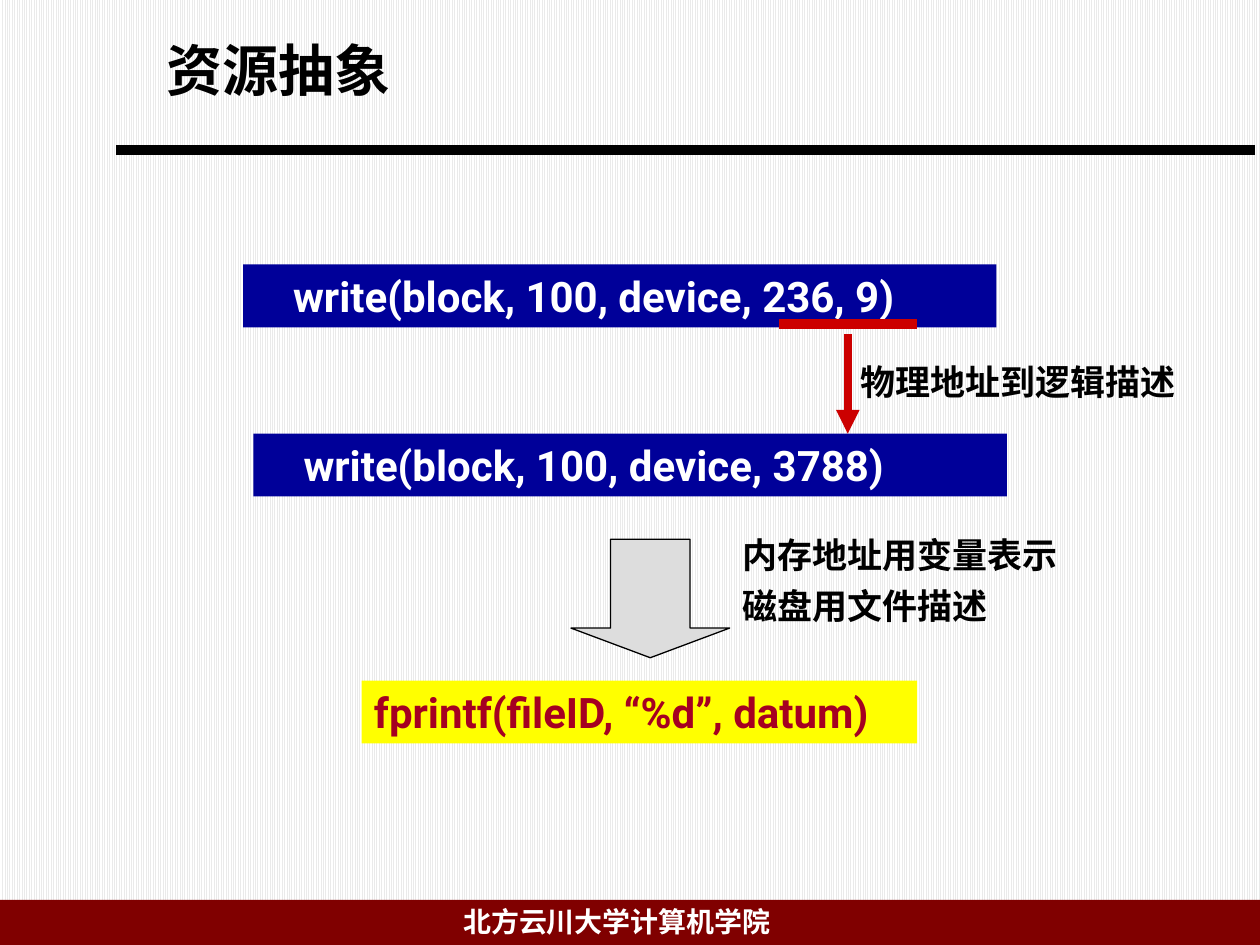
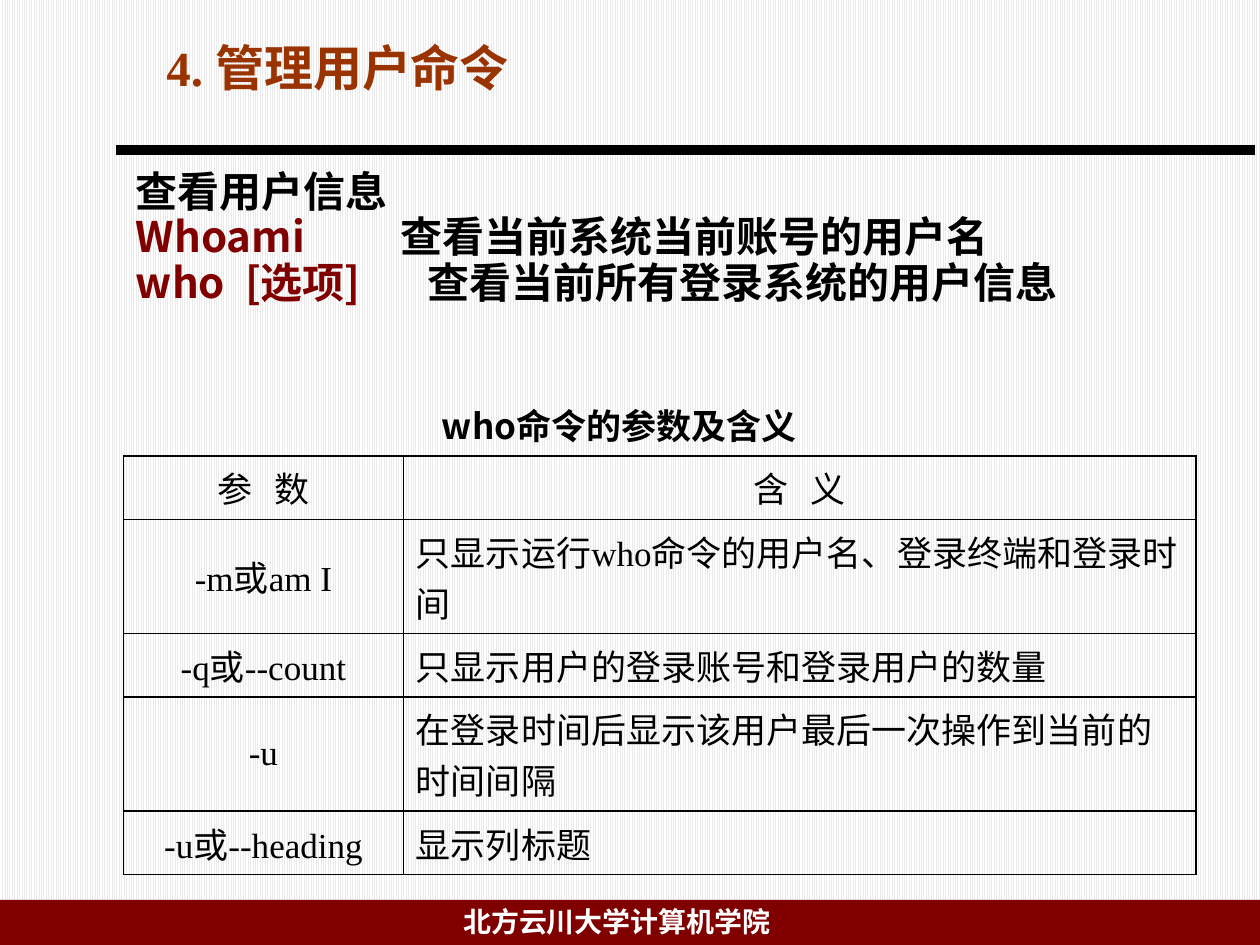
"""Build two lecture slides on resource abstraction and user commands."""
from dataclasses import dataclass

from lxml.etree import SubElement
from pptx import Presentation
from pptx.dml.color import RGBColor
from pptx.enum.dml import MSO_PATTERN
from pptx.enum.shapes import MSO_CONNECTOR, MSO_SHAPE
from pptx.enum.text import MSO_ANCHOR, PP_ALIGN
from pptx.oxml.ns import qn
from pptx.util import Cm, Pt


@dataclass(frozen=True)
class Theme:
    black: str = "000000"
    white: str = "FFFFFF"
    stripe: str = "EAEAEA"
    maroon: str = "800000"
    rust: str = "993300"
    navy: str = "000099"
    yellow: str = "FFFF00"
    crimson: str = "A50021"
    red: str = "CC0000"
    grey: str = "DDDDDD"
    serif: str = "Times New Roman"
    code: str = "Roboto"
    cjk: str = "Noto Sans CJK SC"
    caption_font: str = "Noto Sans CJK KR"
    title: int = 32
    subtitle: int = 28
    body: int = 24
    label: int = 20
    footer: int = 16


THEME = Theme()


def rgb(value):
    return RGBColor.from_string(value)


def add_text(p, text, *, size=THEME.label, color=THEME.black, font=THEME.serif,
             bold=True, spacing=0):
    r = p.add_run()
    r.text = text
    r.font.size = Pt(size)
    r.font.bold = bold
    r.font.color.rgb = rgb(color)
    r.font.name = font
    rPr = r.font._element
    SubElement(rPr, qn("a:ea")).set("typeface", THEME.cjk)
    if spacing:
        rPr.set("spc", str(spacing * 100))
    return r


def set_tabs(p, stops):
    tabs = SubElement(p._p.get_or_add_pPr(), qn("a:tabLst"))
    for stop in stops:
        tab = SubElement(tabs, qn("a:tab"))
        tab.set("pos", str(Cm(stop)))
        tab.set("algn", "l")


class Deck:
    def __init__(self, theme):
        self.theme = theme
        self.prs = Presentation()
        self.prs.slide_width, self.prs.slide_height = Cm(25.4), Cm(19.05)
        fill = self.prs.slide_master.background.fill
        fill.patterned()
        fill.pattern = MSO_PATTERN.LIGHT_VERTICAL
        fill.fore_color.rgb = rgb(theme.stripe)
        fill.back_color.rgb = rgb(theme.white)
        self.s = None

    def slide(self, title, box, **fmt):
        t = self.theme
        self.s = self.prs.slides.add_slide(self.prs.slide_layouts[5])
        self.shape((0, 18.14, 25.4, 0.91), t.maroon)
        self.line((2.34, 3.02), (25.3, 3.02), t.black, 6)
        self.text((9.09, 18.11, 8.43, 0.94), ["北方云川大学计算机学院"],
                  size=t.footer, color=t.white)
        sp = self.s.shapes.title
        sp.left, sp.top, sp.width, sp.height = map(Cm, box)
        tf = sp.text_frame
        tf.vertical_anchor = MSO_ANCHOR.TOP
        tf.margin_top = 0
        p = tf.paragraphs[0]
        p.alignment = PP_ALIGN.LEFT
        add_text(p, title, **fmt)

    def shape(self, box, fill, kind=MSO_SHAPE.RECTANGLE, outline=None):
        sp = self.s.shapes.add_shape(kind, *map(Cm, box))
        sp.shadow.inherit = False
        sp.fill.solid()
        sp.fill.fore_color.rgb = rgb(fill)
        if outline:
            sp.line.color.rgb = rgb(outline)
            sp.line.width = Pt(0.75)
        else:
            sp.line.fill.background()
        return sp

    def code(self, box, text, fill, color, indent=0):
        tf = self.shape(box, fill).text_frame
        tf.vertical_anchor = MSO_ANCHOR.MIDDLE
        p = tf.paragraphs[0]
        p.alignment = PP_ALIGN.LEFT
        p._p.get_or_add_pPr().set("indent", str(Cm(indent)))
        add_text(p, text, size=self.theme.body, color=color, font=self.theme.code)

    def text(self, box, lines, **fmt):
        tf = self.s.shapes.add_textbox(*map(Cm, box)).text_frame
        tf.word_wrap = True
        tf.vertical_anchor = MSO_ANCHOR.MIDDLE
        for i, line in enumerate(lines):
            p = tf.add_paragraph() if i else tf.paragraphs[0]
            p.space_before = Pt(5 if i else 0)
            add_text(p, line, **fmt)

    def commands(self, box, rows):
        t = self.theme
        tf = self.s.shapes.add_textbox(*map(Cm, box)).text_frame
        tf.word_wrap = True
        for i, (command, meaning, stops) in enumerate(rows):
            p = tf.add_paragraph() if i else tf.paragraphs[0]
            p.line_spacing = 0.9
            if command:
                set_tabs(p, stops)
                add_text(p, command + "\t", size=t.body, color=t.maroon, font=t.cjk)
            add_text(p, meaning, size=t.body, font=t.cjk)

    def line(self, start, end, color, width, arrow=False):
        c = self.s.shapes.add_connector(MSO_CONNECTOR.STRAIGHT, *map(Cm, start + end))
        c.line.color.rgb = rgb(color)
        c.line.width = Pt(width)
        spPr = c.element.spPr
        if arrow:
            SubElement(spPr.find(qn("a:ln")), qn("a:tailEnd")).set("type", "triangle")
        SubElement(spPr, qn("a:effectLst"))

    def border(self, cell):
        tcPr = cell._tc.get_or_add_tcPr()
        for side in ("lnL", "lnR", "lnT", "lnB"):
            ln = SubElement(tcPr, qn(f"a:{side}"))
            ln.set("w", str(Pt(1)))
            fill = SubElement(ln, qn("a:solidFill"))
            SubElement(fill, qn("a:srgbClr")).set("val", self.theme.black)

    def table(self, left, top, widths, heights, rows):
        box = (left, top, sum(widths), sum(heights))
        tbl = self.s.shapes.add_table(len(rows), len(widths), *map(Cm, box)).table
        tbl.first_row = tbl.horz_banding = False
        for col, width in zip(tbl.columns, widths):
            col.width = Cm(width)
        for i, (row, height) in enumerate(zip(rows, heights)):
            tbl.rows[i].height = Cm(height)
            for j, value in enumerate(row):
                cell = tbl.cell(i, j)
                self.border(cell)
                cell.fill.background()
                cell.vertical_anchor = MSO_ANCHOR.MIDDLE
                p = cell.text_frame.paragraphs[0]
                p.alignment = PP_ALIGN.LEFT if i and j else PP_ALIGN.CENTER
                add_text(p, value, bold=False, spacing=0 if i else 4)


def resource_abstraction(deck):
    t = deck.theme
    deck.slide("资源抽象", (3.1, 0.71, 9.83, 1.96), size=t.title)
    deck.code((4.9, 5.33, 15.19, 1.27), "write(block, 100, device, 236, 9)",
              t.navy, t.white, indent=0.76)
    deck.code((5.11, 8.74, 15.19, 1.27), "write(block, 100, device, 3788)",
              t.navy, t.white, indent=0.76)
    deck.code((7.29, 13.72, 11.2, 1.27), "fprintf(fileID, “%d”, datum)",
              t.yellow, t.crimson)
    deck.line((15.7, 6.53), (18.49, 6.53), t.red, 6)
    deck.line((17.09, 6.73), (17.09, 8.74), t.red, 4.5, arrow=True)
    deck.text((17.09, 7.14, 8.31, 1.09), ["物理地址到逻辑描述"])
    arrow = deck.shape((11.51, 10.87, 3.2, 2.39), t.grey,
                       MSO_SHAPE.DOWN_ARROW, outline=t.black)
    arrow.adjustments[1] = 0.25
    deck.text((14.71, 10.52, 7.01, 2.36), ["内存地址用变量表示", "磁盘用文件描述"])


def user_commands(deck):
    t = deck.theme
    deck.slide("4. 管理用户命令", (3.1, 0.76, 21.03, 1.75), size=t.subtitle, color=t.rust)
    deck.commands((2.49, 3.33, 21.64, 3.99), [
        ("", "查看用户信息", ()),
        ("Whoami", "查看当前系统当前账号的用户名", (5.34,)),
        ("who\t[选项]", "查看当前所有登录系统的用户信息", (2.2, 5.88)),
    ])
    one_line, two_lines = 1.28, 2.3
    deck.table(2.49, 9.19, (5.64, 15.98),
               (one_line, two_lines, one_line, two_lines, one_line), [
        ("参 数", "含 义"),
        ("-m或am I", "只显示运行who命令的用户名、登录终端和登录时间"),
        ("-q或--count", "只显示用户的登录账号和登录用户的数量"),
        ("-u", "在登录时间后显示该用户最后一次操作到当前的时间间隔"),
        ("-u或--heading", "显示列标题"),
    ])
    deck.text((8.66, 8.03, 8.61, 1.09), ["who命令的参数及含义"], font=t.caption_font)


def main():
    deck = Deck(THEME)
    resource_abstraction(deck)
    user_commands(deck)
    deck.prs.save("out.pptx")


if __name__ == "__main__":
    main()
